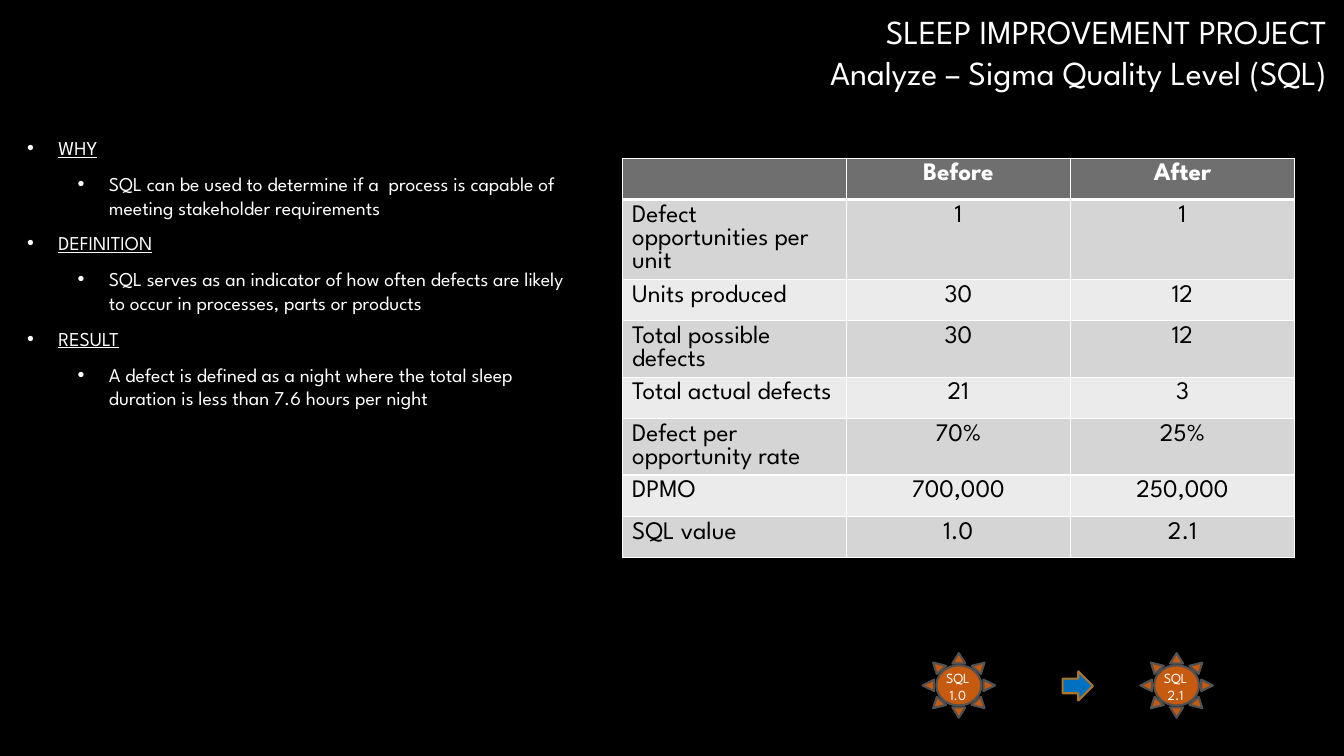
from lxml.etree import SubElement
from pptx import Presentation
from pptx.dml.color import RGBColor
from pptx.enum.shapes import MSO_SHAPE
from pptx.enum.text import MSO_ANCHOR, MSO_AUTO_SIZE, PP_ALIGN
from pptx.oxml.ns import qn
from pptx.util import Inches, Pt

# Content
TITLE = ["SLEEP IMPROVEMENT PROJECT", "Analyze – Sigma Quality Level (SQL)"]
POINTS = [
    ("WHY", "SQL can be used to determine if a  process is capable of "
            "meeting stakeholder requirements"),
    ("DEFINITION", "SQL serves as an indicator of how often defects are likely "
                   "to occur in processes, parts or products"),
    ("RESULT", "A defect is defined as a night where the total sleep "
               "duration is less than 7.6 hours per night"),
]
ROWS = [
    ("", "Before", "After"),
    ("Defect opportunities per unit", "1", "1"),
    ("Units produced", "30", "12"),
    ("Total possible defects", "30", "12"),
    ("Total actual defects", "21", "3"),
    ("Defect per opportunity rate", "70%", "25%"),
    ("DPMO", "700,000", "250,000"),
    ("SQL value", "1.0", "2.1"),
]
SUNS = [(9.15, "1.0"), (11.31, "2.1")]

THEME = {
    "font": "League Spartan",
    "title": 24, "body": 14, "table": 18, "badge": 10,
    "bg": "000000", "white": "FFFFFF", "black": "000000",
    "title_end": "A6A6A6", "body_end": "BFBFBF",
    "header": "6F6F6F", "bands": ("EBEBEB", "D5D5D5"),
    "sun": "C65A0E", "sun_line": "525252",
    "arrow": "0070C0", "arrow_line": "AC762A",
}


def rgb(name):
    return RGBColor.from_string(THEME.get(name, name))


def place(sp, left, top, width, height):
    sp.left, sp.top = Inches(left), Inches(top)
    sp.width, sp.height = Inches(width), Inches(height)


def add_run(p, text, size, color="white", end=None, **formats):
    r = p.add_run()
    r.text = text
    for key, value in {"name": THEME["font"], "size": Pt(THEME[size]), **formats}.items():
        setattr(r.font, key, value)
    if end:
        fill = r.font.fill
        fill.gradient()
        fill.gradient_angle = 267
        for stop, name, pos in zip(fill.gradient_stops, (color, end), (0, 1)):
            stop.color.rgb, stop.position = rgb(name), pos
    else:
        r.font.color.rgb = rgb(color)


def paragraphs(tf, count):
    return [tf.paragraphs[0]] + [tf.add_paragraph() for _ in range(count - 1)]


def add_bullet(p, indent):
    pPr = p._p.get_or_add_pPr()
    pPr.set("marL", str(Inches(indent)))
    pPr.set("indent", str(Inches(-0.31)))
    color = SubElement(pPr, qn("a:buClr"))
    SubElement(color, qn("a:srgbClr"), val=THEME["white"])
    SubElement(pPr, qn("a:buFont"), typeface="Arial")
    SubElement(pPr, qn("a:buChar"), char="•")


def set_borders(cell, bottom):
    tcPr = cell._tc.get_or_add_tcPr()
    for i, (side, width) in enumerate(zip("LRTB", (1, 1, 1, bottom))):
        ln = SubElement(tcPr, qn(f"a:ln{side}"), w=str(Pt(width)))
        SubElement(SubElement(ln, qn("a:solidFill")), qn("a:srgbClr"), val=THEME["white"])
        tcPr.insert(i, ln)


def add_shape(s, kind, box, fill, line):
    sp = s.shapes.add_shape(kind, *map(Inches, box))
    sp.shadow.inherit = False
    sp.fill.solid()
    sp.fill.fore_color.rgb = rgb(fill)
    sp.line.color.rgb = rgb(line)
    sp.line.width = Pt(1.5)
    return sp


prs = Presentation()
prs.slide_width, prs.slide_height = Inches(13.33), Inches(7.5)
s = prs.slides.add_slide(prs.slide_layouts[1])
s.background.fill.solid()
s.background.fill.fore_color.rgb = rgb("bg")

# Title
title = s.shapes.title
place(title, 2.43, 0.06, 10.83, 2.08)
tf = title.text_frame
tf.vertical_anchor, tf.auto_size = MSO_ANCHOR.TOP, MSO_AUTO_SIZE.NONE
for p, text in zip(paragraphs(tf, len(TITLE)), TITLE):
    p.alignment = PP_ALIGN.RIGHT
    add_run(p, text, "title", end="title_end")

# Bulleted explanation
body = s.placeholders[1]
place(body, 0.17, 1.3, 5.58, 5.82)
tf = body.text_frame
tf.auto_size = MSO_AUTO_SIZE.NONE
lines = [(level, text) for point in POINTS for level, text in enumerate(point)]
for i, (p, (level, text)) in enumerate(zip(paragraphs(tf, len(lines)), lines)):
    p.level = level
    p.space_after = Pt(6)
    if i == 0:
        p.space_before = Pt(0)
    add_bullet(p, 0.31 + 0.5 * level)
    add_run(p, text, "body", end="body_end", underline=level == 0)

# Before and after table
frame = s.shapes.add_table(len(ROWS), len(ROWS[0]), Inches(6.17), Inches(1.57),
                           Inches(6.67), Inches(0.41 * len(ROWS)))
table = frame.table
for row, texts in zip(table.rows, ROWS):
    row.height = Inches(0.41)
for i, texts in enumerate(ROWS):
    header = i == 0
    for j, text in enumerate(texts):
        cell = table.cell(i, j)
        cell.fill.solid()
        cell.fill.fore_color.rgb = rgb("header" if header else THEME["bands"][i % 2])
        set_borders(cell, 3 if header else 1)
        p = cell.text_frame.paragraphs[0]
        if j:
            p.alignment = PP_ALIGN.CENTER
        if text:
            add_run(p, text, "table", "white" if header else "black", bold=header)

# Sigma level badges and the arrow between them
for left, value in SUNS:
    sun = add_shape(s, MSO_SHAPE.SUN, (left, 6.48, 0.72, 0.64), "sun", "sun_line")
    sun.adjustments[0] = 0.19
    box = s.shapes.add_textbox(*map(Inches, (left + 0.12, 6.59, 0.46, 0.44)))
    tf = box.text_frame
    tf.word_wrap = True
    for p, text in zip(paragraphs(tf, 2), ("SQL", value)):
        p.alignment = PP_ALIGN.CENTER
        add_run(p, text, "badge")
add_shape(s, MSO_SHAPE.RIGHT_ARROW, (10.54, 6.66, 0.3, 0.29), "arrow", "arrow_line")

prs.save("out.pptx")
